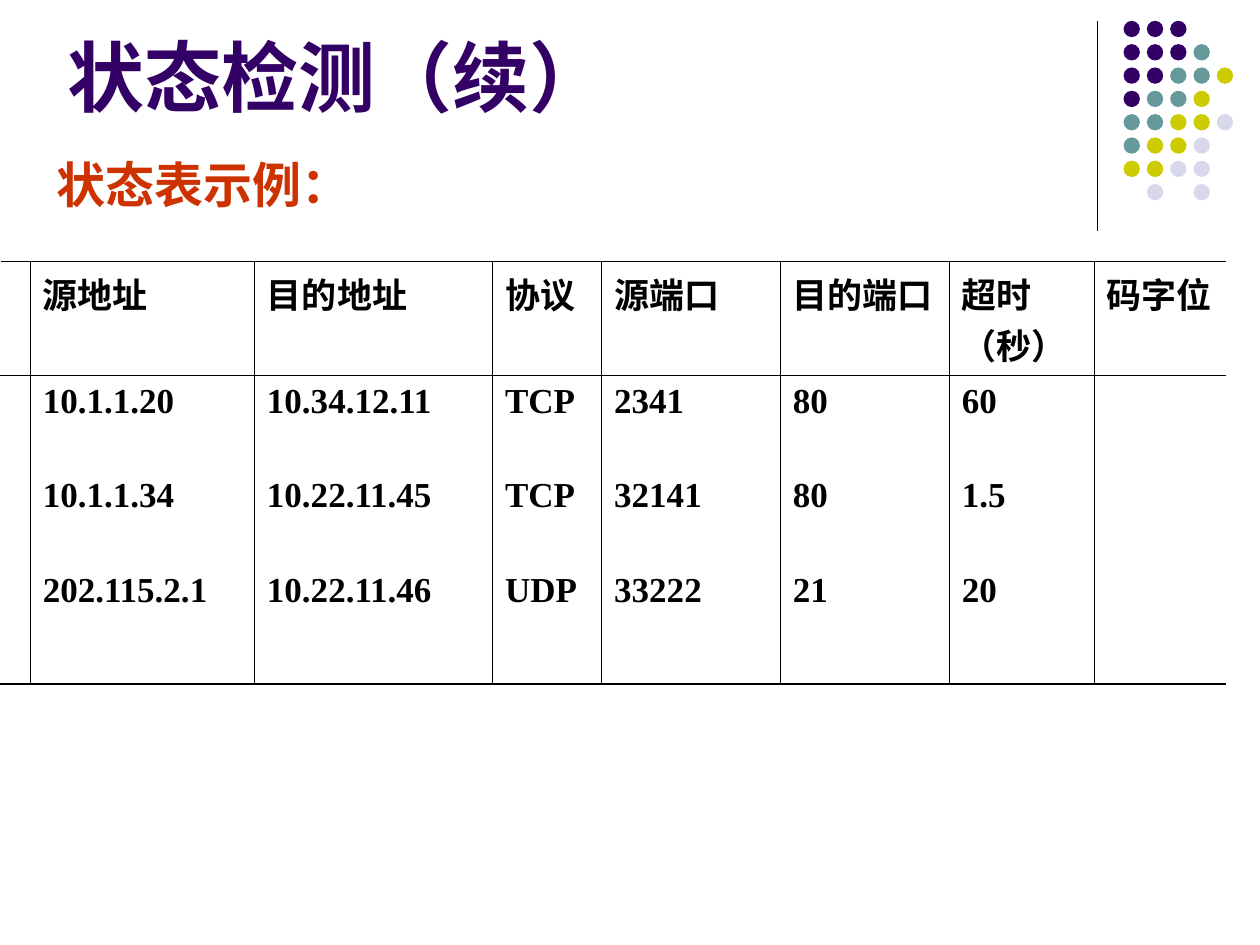
from lxml import etree
from pptx import Presentation
from pptx.dml.color import RGBColor
from pptx.enum.shapes import MSO_CONNECTOR, MSO_SHAPE
from pptx.enum.text import MSO_ANCHOR, MSO_AUTO_SIZE, PP_ALIGN
from pptx.oxml.ns import qn
from pptx.util import Cm, Pt

LEFT, JUSTIFY = PP_ALIGN.LEFT, PP_ALIGN.JUSTIFY
BOTTOM, TOP = MSO_ANCHOR.BOTTOM, MSO_ANCHOR.TOP
NO_AUTOFIT = MSO_AUTO_SIZE.NONE
OVAL, STRAIGHT = MSO_SHAPE.OVAL, MSO_CONNECTOR.STRAIGHT

FONT = "Times New Roman"
COLORS = {
    "purple": "330066",
    "teal": "669999",
    "olive": "CCCC00",
    "lavender": "D8D8EC",
    "red": "CC3300",
    "black": "000000",
    "white": "FFFFFF",
}

# One letter per dot: the first letter of its colour, a dot for a gap
DOT_ROWS = ["ppp", "pppt", "pptto", "ptto", "ttool", "tool", "ooll", ".l.l"]
DOT_COLORS = {name[0]: name for name in ("purple", "teal", "olive", "lavender")}
DOT_LEFT, DOT_TOP, DOT_PITCH, DOT_SIZE = 22.65, 0.42, 0.47, 0.33

# Heading, column width in cm, entries
STATE_COLUMNS = [
    ("", 0.59, []),
    ("源地址", 4.52, ["10.1.1.20", "10.1.1.34", "202.115.2.1"]),
    ("目的地址", 4.8, ["10.34.12.11", "10.22.11.45", "10.22.11.46"]),
    ("协议", 2.2, ["TCP", "TCP", "UDP"]),
    ("源端口", 3.6, ["2341", "32141", "33222"]),
    ("目的端口", 3.41, ["80", "80", "21"]),
    ("超时（秒）", 2.92, ["60", "1.5", "20"]),
    ("码字位", 2.66, []),
]
ROW_HEIGHTS = [2.3, 6.22]
ENTRY_GAP = 32
THIN, THICK = 0.45, 0.75


def color(name):
    return RGBColor.from_string(COLORS[name])


def format_text(text_frame, size, color_name, alignment=LEFT, gap=0):
    """Format all runs; gap is the space in points between paragraphs."""
    for index, paragraph in enumerate(text_frame.paragraphs):
        paragraph.alignment = alignment
        paragraph.space_before = Pt(gap if index else 0)
        for run in paragraph.runs:
            run.font.name = FONT
            run.font.size = Pt(size)
            run.font.bold = True
            run.font.color.rgb = color(color_name)


def place_title(slide, text):
    title = slide.shapes.title
    title.left, title.top = Cm(1.1), Cm(0.41)
    title.width, title.height = Cm(20.95), Cm(2.18)
    text_frame = title.text_frame
    text_frame.text = text
    text_frame.auto_size = NO_AUTOFIT
    text_frame.vertical_anchor = BOTTOM
    format_text(text_frame, 44, "purple")


def add_subtitle(slide, text):
    box = slide.shapes.add_textbox(Cm(0.9), Cm(3.12), Cm(11.2), Cm(13.59))
    text_frame = box.text_frame
    text_frame.word_wrap = True
    text_frame.text = text
    format_text(text_frame, 28, "red", JUSTIFY)
    text_frame.paragraphs[0].line_spacing = 0.9


def add_divider(slide):
    line = slide.shapes.add_connector(
        STRAIGHT, Cm(22.12), Cm(0.43), Cm(22.12), Cm(4.65))
    line.line.color.rgb = color("black")
    line.line.width = Pt(0.75)
    etree.SubElement(line._element.spPr, qn("a:effectLst"))


def add_dot_pattern(slide):
    group = slide.shapes.add_group_shape()
    for row, letters in enumerate(DOT_ROWS):
        for column, letter in enumerate(letters):
            if letter not in DOT_COLORS:
                continue
            dot = group.shapes.add_shape(
                OVAL,
                Cm(DOT_LEFT + column * DOT_PITCH),
                Cm(DOT_TOP + row * DOT_PITCH),
                Cm(DOT_SIZE), Cm(DOT_SIZE))
            dot.shadow.inherit = False
            dot.fill.solid()
            dot.fill.fore_color.rgb = color(DOT_COLORS[letter])
            dot.line.fill.background()


def set_border(cell, side, color_name, width):
    """Draw one cell border; call for the sides L, R, T, B in that order."""
    properties = cell._tc.get_or_add_tcPr()
    line = etree.SubElement(properties, qn(f"a:ln{side}"), w=str(int(Pt(width))))
    fill = etree.SubElement(line, qn("a:solidFill"))
    etree.SubElement(fill, qn("a:srgbClr"), val=COLORS[color_name])


def fill_cell(cell, lines, first_column, last_column, header):
    cell.vertical_anchor = TOP
    set_border(cell, "L", "white" if first_column else "black", THIN)
    set_border(cell, "R", "white" if last_column else "black", THIN)
    set_border(cell, "T", "black", THICK if header else THIN)
    set_border(cell, "B", "black", THIN if header else THICK)
    cell.fill.background()
    cell.text_frame.text = "\n".join(lines)
    format_text(cell.text_frame, 20, "black", gap=ENTRY_GAP)


def add_state_table(slide):
    total_width = sum(width for _, width, _ in STATE_COLUMNS)
    table = slide.shapes.add_table(
        len(ROW_HEIGHTS), len(STATE_COLUMNS),
        Cm(0), Cm(5.27), Cm(total_width), Cm(sum(ROW_HEIGHTS))).table
    table.first_row = table.horz_banding = False
    for row, height in zip(table.rows, ROW_HEIGHTS):
        row.height = Cm(height)
    last = len(STATE_COLUMNS) - 1
    for index, (heading, width, entries) in enumerate(STATE_COLUMNS):
        table.columns[index].width = Cm(width)
        for row, lines in enumerate(([heading], entries)):
            fill_cell(table.cell(row, index), lines,
                      index == 0, index == last, row == 0)


def main():
    presentation = Presentation()
    presentation.slide_width, presentation.slide_height = Cm(25.4), Cm(19.05)
    slide = presentation.slides.add_slide(presentation.slide_layouts[5])
    add_divider(slide)
    add_dot_pattern(slide)
    place_title(slide, "状态检测（续）")
    add_subtitle(slide, "状态表示例：")
    add_state_table(slide)
    presentation.save("out.pptx")


if __name__ == "__main__":
    main()
